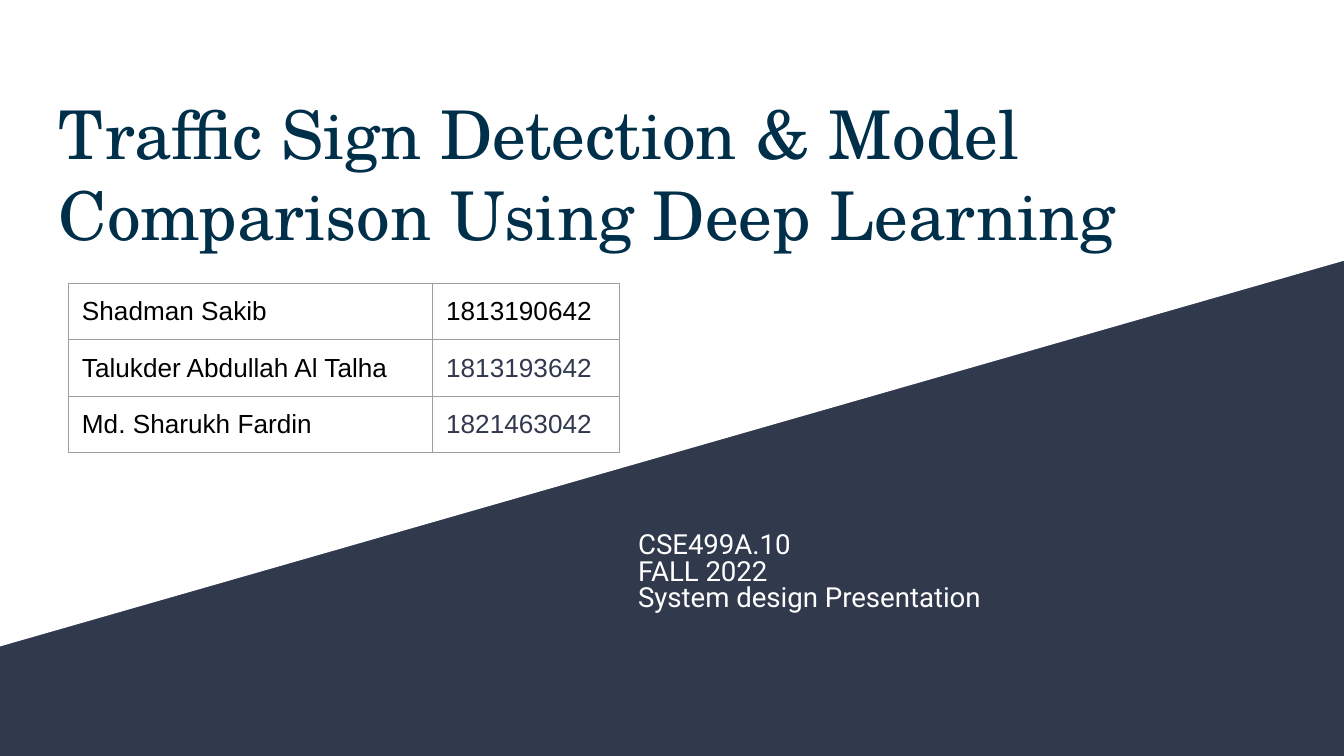
from lxml.etree import SubElement
from pptx import Presentation
from pptx.dml.color import RGBColor
from pptx.oxml.ns import qn
from pptx.util import Inches, Pt

COLORS = {"navy": "31394D", "title": "002F4A", "white": "FFFFFF",
          "black": "000000", "border": "9E9E9E"}
MEMBERS = [("Shadman Sakib", "1813190642", "black"),
           ("Talukder Abdullah Al Talha", "1813193642", "navy"),
           ("Md. Sharukh Fardin", "1821463042", "navy")]
COURSE = ["CSE499A.10", "FALL 2022", "System design Presentation"]


def rgb(name):
    """Return the named colour."""
    return RGBColor.from_string(COLORS[name])


def write(p, text, size=14, font="Arial", color="black", spacing=None):
    """Add formatted text to a paragraph."""
    r = p.add_run()
    r.text = text
    r.font.size, r.font.name = Pt(size), font
    r.font.color.rgb = rgb(color)
    if spacing:
        p.line_spacing = spacing


def add_text(s, x, y, w, h):
    """Add a wrapping text box with even insets and return its frame."""
    tf = s.shapes.add_textbox(Inches(x), Inches(y), Inches(w), Inches(h)).text_frame
    tf.word_wrap = True
    tf.margin_left = tf.margin_right = tf.margin_top = tf.margin_bottom = Inches(0.1)
    return tf


def add_backdrop(s, x, y, w, h, right_h):
    """Fill the slide navy and lay a slanted white panel over its top."""
    s.background.fill.solid()
    s.background.fill.fore_color.rgb = rgb("navy")
    fb = s.shapes.build_freeform(Inches(x), Inches(y), scale=1.0)
    fb.add_line_segments([(Inches(x + w), Inches(y)),
                          (Inches(x + w), Inches(y + right_h)),
                          (Inches(x), Inches(y + h))], close=True)
    sp = fb.convert_to_shape()
    sp.shadow.inherit = False
    sp.fill.solid()
    sp.fill.fore_color.rgb = rgb("white")
    sp.line.fill.background()


def add_borders(cell):
    """Draw a thin grey line on all four sides of a cell."""
    tcPr = cell._tc.get_or_add_tcPr()
    for i, side in enumerate(("lnL", "lnR", "lnT", "lnB")):
        ln = tcPr.makeelement(qn(f"a:{side}"), {"w": str(Pt(0.75))})
        fill = SubElement(ln, qn("a:solidFill"))
        SubElement(fill, qn("a:srgbClr"), val=COLORS["border"])
        tcPr.insert(i, ln)


def add_members(s, x, y, widths, h):
    """Add the table of member names and student numbers."""
    table = s.shapes.add_table(len(MEMBERS), len(widths), Inches(x), Inches(y),
                               Inches(sum(widths)), Inches(h)).table
    table.first_row = table.horz_banding = False
    for col, w in zip(table.columns, widths):
        col.width = Inches(w)
    for row, (name, number, color) in zip(table.rows, MEMBERS):
        row.height = Inches(h / len(MEMBERS))
        for cell, text, c in zip(row.cells, (name, number), ("black", color)):
            cell.fill.background()
            cell.margin_left = cell.margin_right = Inches(0.1)
            cell.margin_top = cell.margin_bottom = Inches(0.1)
            write(cell.text_frame.paragraphs[0], text, color=c)
            add_borders(cell)


def add_title(s, x, y, w, h):
    """Add the presentation title."""
    tf = add_text(s, x, y, w, h)
    write(tf.paragraphs[0],
          "Traffic Sign Detection & Model Comparison Using Deep Learning",
          size=36, font="TeX Gyre Schola", color="title")


def add_course(s, x, y, w, h):
    """Add the indented course lines."""
    tf = add_text(s, x, y, w, h)
    for i, line in enumerate(COURSE):
        p = tf.add_paragraph() if i else tf.paragraphs[0]
        write(p, line, size=14.8, font="Roboto", color="white", spacing=0.8)
        pPr = p._p.get_or_add_pPr()
        pPr.set("marL", str(Inches(0.5)))
        pPr.set("indent", str(Inches(-0.34)))


def main():
    """Build and save the 16:9 title slide."""
    prs = Presentation()
    prs.slide_width = Inches(10)
    prs.slide_height = prs.slide_width * 9 // 16
    s = prs.slides.add_slide(prs.slide_layouts[6])
    add_backdrop(s, 0, 0, 10, 4.81, right_h=1.94)
    add_members(s, 0.51, 2.11, (2.71, 1.39), 1.25)
    add_title(s, 0.34, 0.59, 9.32, 1.4)
    add_course(s, 4.49, 3.87, 4.64, 0.81)
    prs.save("out.pptx")


if __name__ == "__main__":
    main()
